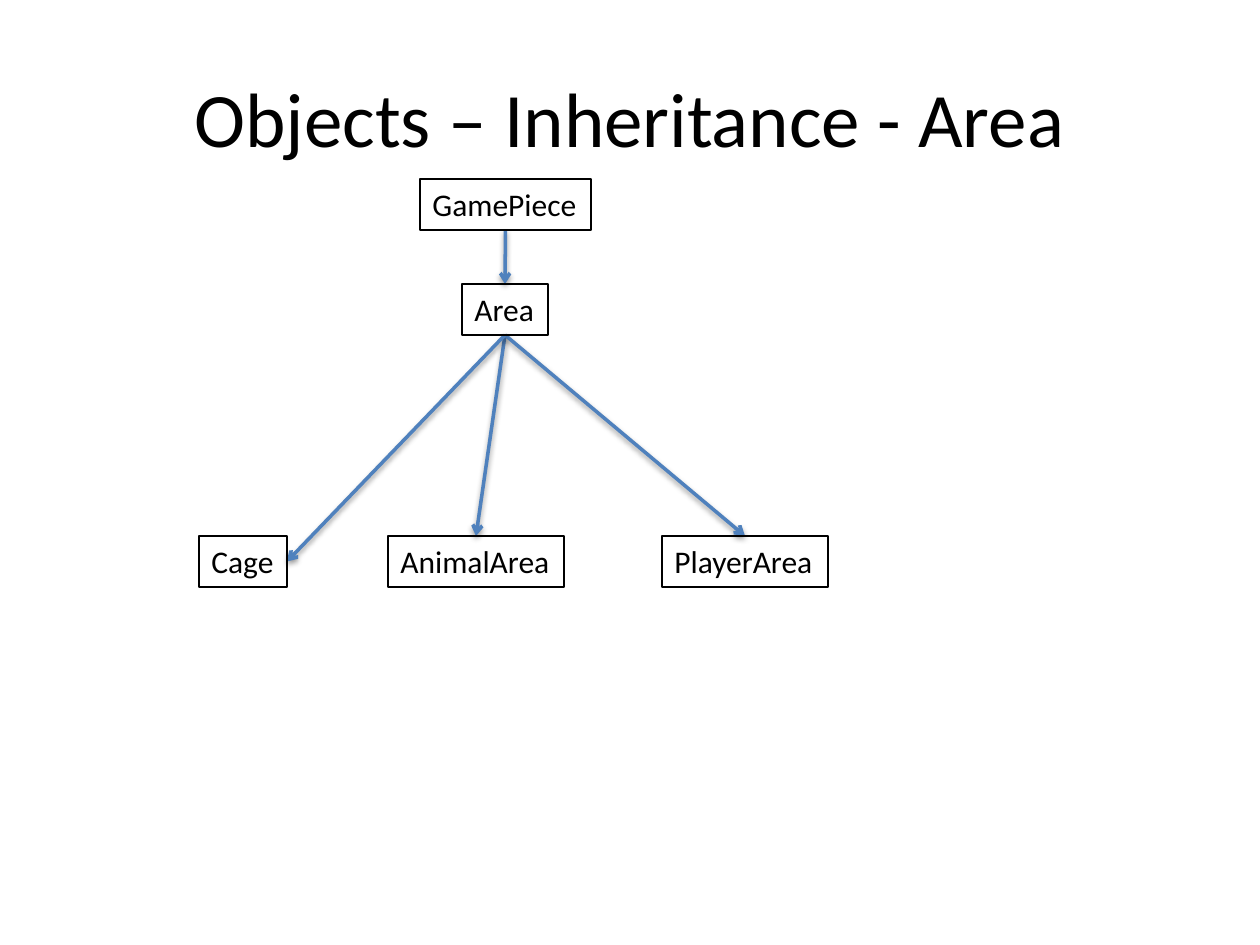
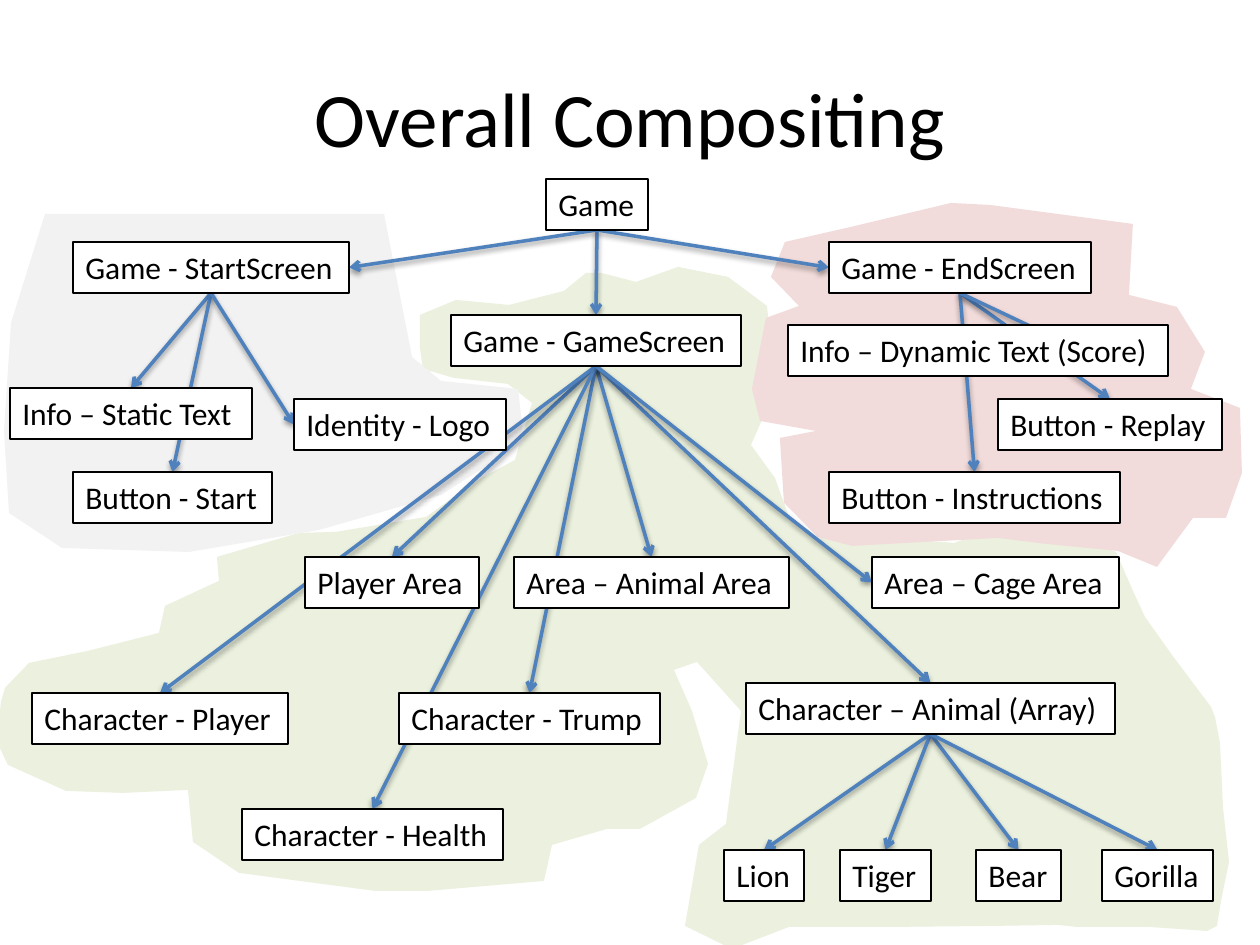
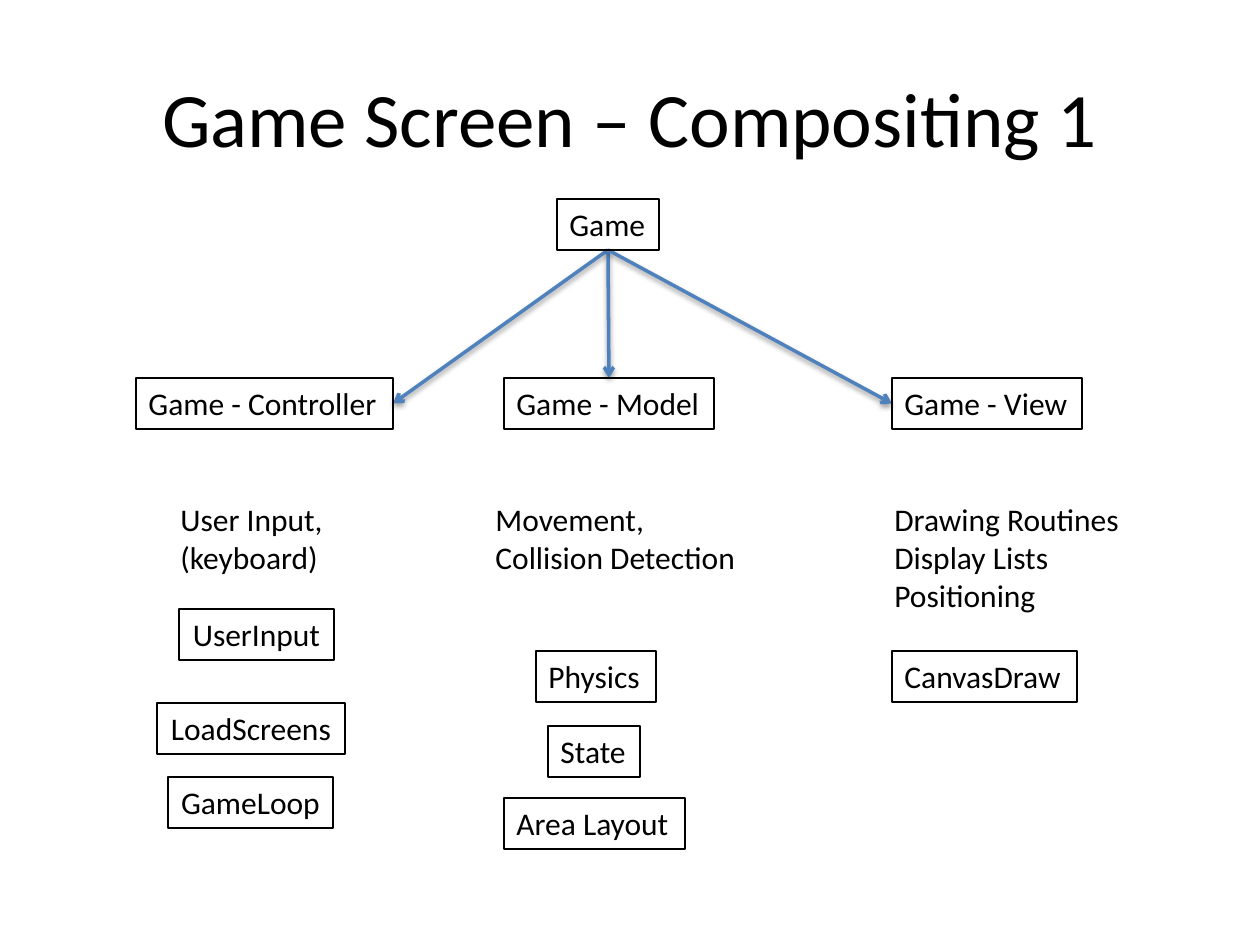
from dataclasses import dataclass
from enum import IntEnum

from lxml import etree
from pptx import Presentation
from pptx.dml.color import RGBColor
from pptx.enum.shapes import MSO_CONNECTOR
from pptx.enum.text import MSO_ANCHOR, MSO_AUTO_SIZE, PP_ALIGN
from pptx.oxml.ns import qn
from pptx.util import Emu, Inches, Pt

SCALE = Inches(1) / 126
FONT = "Calibri"
COLORS = {
    "ink": "000000",
    "paper": "FFFFFF",
    "arrow": "4F81BD",
    "start": "F2F2F2",
    "game": "EBF1DE",
    "end": "F2DCDB",
}
BOX_HEIGHT = 51
TITLE_ONLY = 5


class Site(IntEnum):
    """Connection sites of a rectangle."""
    TOP = 0
    LEFT = 1
    BOTTOM = 2
    RIGHT = 3


@dataclass(frozen=True)
class Box:
    """An outlined class box, or a plain note when it has no outline."""
    text: str
    left: int
    top: int
    width: int
    height: int = BOX_HEIGHT
    align: PP_ALIGN = PP_ALIGN.LEFT
    outlined: bool = True


@dataclass(frozen=True)
class Link:
    """An arrow from a parent's bottom to a child, or to a free tip."""
    parent: str
    child: str = ""
    site: Site = Site.TOP
    tip: tuple[int, int] = (0, 0)


@dataclass(frozen=True)
class Region:
    """A tinted area behind one branch of the tree."""
    color: str
    outline: tuple[tuple[int, int], ...]


@dataclass(frozen=True)
class Diagram:
    """Everything one slide shows."""
    title: str
    boxes: tuple[Box, ...]
    links: tuple[Link, ...]
    regions: tuple[Region, ...] = ()
    box_fill: str = ""


def px(length: float) -> Emu:
    """Turn pixels into EMU."""
    return Emu(round(length * SCALE))


def rgb(name: str) -> RGBColor:
    """Look up a named colour."""
    return RGBColor.from_string(COLORS[name])


def write(frame, text: str, *, size: int, align: PP_ALIGN, color: str = "ink") -> None:
    """Fill a text frame, one paragraph a line, in one format."""
    frame.text = text
    for paragraph in frame.paragraphs:
        paragraph.alignment = align
        for run in paragraph.runs:
            run.font.name = FONT
            run.font.size = Pt(size)
            run.font.color.rgb = rgb(color)


def add_title(slide, text: str) -> None:
    """Place and format the slide title."""
    title = slide.shapes.title
    title.left, title.top, title.width, title.height = map(px, (63, 38, 1134, 157))
    title.text_frame.vertical_anchor = MSO_ANCHOR.MIDDLE
    write(title.text_frame, text, size=44, align=PP_ALIGN.CENTER)


def add_region(slide, region: Region) -> None:
    """Draw one tinted area."""
    start, *rest = region.outline
    builder = slide.shapes.build_freeform(*start, scale=SCALE)
    builder.add_line_segments(rest, close=True)
    area = builder.convert_to_shape()
    area.shadow.inherit = False
    area.fill.solid()
    area.fill.fore_color.rgb = rgb(region.color)
    area.line.fill.background()


def add_box(slide, box: Box, fill: str):
    """Draw one box or note and return it."""
    label = slide.shapes.add_textbox(
        px(box.left), px(box.top), px(box.width), px(box.height))
    if box.outlined:
        label.line.color.rgb = rgb("ink")
        label.line.width = Pt(0.75)
        if fill:
            label.fill.solid()
            label.fill.fore_color.rgb = rgb(fill)
    label.text_frame.word_wrap = False
    label.text_frame.auto_size = MSO_AUTO_SIZE.SHAPE_TO_FIT_TEXT
    write(label.text_frame, box.text, size=18, align=box.align)
    return label


def add_arrow(slide, link: Link, labels: dict) -> None:
    """Draw one glued arrow with a soft shadow below it."""
    arrow = slide.shapes.add_connector(
        MSO_CONNECTOR.STRAIGHT, 0, 0, *map(px, link.tip))
    arrow.begin_connect(labels[link.parent], Site.BOTTOM)
    if link.child:
        arrow.end_connect(labels[link.child], link.site)
    arrow.line.color.rgb = rgb("arrow")
    arrow.line.width = Pt(2)
    properties = arrow.element.spPr
    etree.SubElement(properties.find(qn("a:ln")), qn("a:tailEnd"), type="arrow")
    effects = etree.SubElement(properties, qn("a:effectLst"))
    shadow = etree.SubElement(
        effects, qn("a:outerShdw"), blurRad="40000", dist="20000",
        dir="5400000", rotWithShape="0")
    tint = etree.SubElement(shadow, qn("a:srgbClr"), val=COLORS["ink"])
    etree.SubElement(tint, qn("a:alpha"), val="38000")


def add_diagram(deck, diagram: Diagram) -> None:
    """Build one slide, with the boxes in front of the arrows."""
    slide = deck.slides.add_slide(deck.slide_layouts[TITLE_ONLY])
    add_title(slide, diagram.title)
    for region in diagram.regions:
        add_region(slide, region)
    labels = {box.text: add_box(slide, box, diagram.box_fill)
              for box in diagram.boxes}
    for link in diagram.links:
        add_arrow(slide, link, labels)
    for label in labels.values():
        slide.shapes.element.append(label.element)


def fan(parent: str, *children: str) -> tuple[Link, ...]:
    """Link a parent to the top of each child."""
    return tuple(Link(parent, child) for child in children)


def row(top: int, *cells: tuple[str, int, int]) -> tuple[Box, ...]:
    """Make boxes that share a top from (text, left, width)."""
    return tuple(Box(text, left, top, width) for text, left, width in cells)


INHERITANCE = Diagram(
    "Objects – Inheritance - Area",
    boxes=(
        *row(179, ("GamePiece", 420, 171)),
        *row(284, ("Area", 462, 86)),
        *row(536, ("Cage", 199, 88), ("AnimalArea", 388, 176),
             ("PlayerArea", 662, 166)),
    ),
    links=(
        *fan("GamePiece", "Area"),
        *fan("Area", "AnimalArea", "PlayerArea"),
        Link("Area", "Cage", Site.RIGHT),
    ),
)

GAME_REGION = Region("game", (
    (564, 291), (509, 305), (456, 300), (420, 315), (420, 348), (423, 369),
    (454, 378), (508, 384), (532, 403), (515, 460), (480, 479), (426, 517),
    (336, 532), (299, 533), (217, 557), (219, 581), (165, 606), (159, 633),
    (88, 651), (29, 663), (5, 688), (1, 702), (-3, 742), (8, 765),
    (66, 791), (123, 793), (188, 790), (193, 842), (239, 873), (375, 891),
    (428, 891), (544, 881), (552, 845), (607, 829), (640, 829), (696, 798),
    (708, 764), (692, 711), (674, 670), (697, 662), (741, 711), (726, 824),
    (699, 845), (685, 926), (732, 949), (789, 927), (896, 927), (993, 926),
    (1058, 925), (1077, 927), (1149, 927), (1207, 931), (1217, 926),
    (1221, 901), (1229, 862), (1223, 808), (1220, 743), (1215, 717),
    (1211, 707), (1172, 655), (1145, 617), (1133, 591), (1116, 552),
    (1080, 538), (1046, 530), (988, 528), (979, 534), (954, 543), (897, 539),
    (867, 534), (814, 539), (789, 517), (775, 478), (751, 445), (766, 411),
    (774, 372), (767, 306), (728, 277), (678, 267), (636, 282), (601, 273),
    (586, 273),
))
END_REGION = Region("end", (
    (785, 242), (851, 227), (951, 203), (990, 205), (1133, 224), (1129, 295),
    (1177, 307), (1205, 352), (1191, 389), (1240, 408), (1242, 473),
    (1226, 518), (1193, 518), (1157, 567), (1118, 551), (1046, 544),
    (998, 538), (852, 546), (818, 537), (784, 503), (780, 438), (816, 431),
    (760, 421), (752, 389), (766, 318), (799, 306), (771, 277),
))
START_REGION = Region("start", (
    (45, 214), (384, 214), (412, 357), (441, 381), (518, 389), (524, 442),
    (441, 495), (319, 530), (189, 552), (62, 548), (9, 513), (4, 431),
    (11, 323),
))

COMPOSITING = Diagram(
    "Overall Compositing",
    boxes=(
        *row(179, ("Game", 546, 102)),
        *row(242, ("Game - StartScreen", 73, 276), ("Game - EndScreen", 829, 262)),
        *row(315, ("Game - GameScreen", 451, 290)),
        *row(325, ("Info – Dynamic Text (Score)", 788, 380)),
        *row(388, ("Info – Static Text", 10, 242)),
        *row(399, ("Identity - Logo", 294, 212), ("Button - Replay", 998, 224)),
        *row(472, ("Button - Start", 73, 199), ("Button - Instructions", 829, 291)),
        *row(557, ("Player Area", 305, 174), ("Area – Animal Area", 514, 275),
             ("Area – Cage Area", 872, 247)),
        *row(683, ("Character – Animal (Array)", 746, 369)),
        *row(693, ("Character - Player", 32, 256), ("Character - Trump", 399, 261)),
        *row(809, ("Character - Health", 242, 261)),
        *row(850, ("Lion", 724, 80), ("Tiger", 840, 91), ("Bear", 976, 85),
             ("Gorilla", 1102, 111)),
    ),
    links=(
        Link("Game", "Game - StartScreen", Site.RIGHT),
        *fan("Game", "Game - GameScreen"),
        Link("Game", "Game - EndScreen", Site.LEFT),
        *fan("Game - StartScreen", "Info – Static Text", "Button - Start"),
        Link("Game - StartScreen", "Identity - Logo", Site.LEFT),
        *fan("Game - GameScreen", "Player Area", "Area – Animal Area",
             "Character - Player", "Character - Trump", "Character - Health",
             "Character – Animal (Array)"),
        Link("Game - GameScreen", "Area – Cage Area", Site.LEFT),
        *fan("Game - EndScreen", "Button - Replay", "Button - Instructions"),
        Link("Game - EndScreen", tip=(1072, 346)),
        *fan("Character – Animal (Array)", "Lion", "Tiger", "Bear", "Gorilla"),
    ),
    regions=(GAME_REGION, END_REGION, START_REGION),
    box_fill="paper",
)

GAME_SCREEN = Diagram(
    "Game Screen – Compositing 1",
    boxes=(
        *row(199, ("Game", 557, 102)),
        *row(378, ("Game - Controller", 136, 257), ("Game - Model", 504, 210),
             ("Game - View", 892, 190)),
        Box("User Input,\n(keyboard)", 168, 494, 169, 89, outlined=False),
        Box("Movement,\nCollision Detection", 483, 494, 268, 89, outlined=False),
        Box("Drawing Routines\nDisplay Lists\nPositioning", 882, 494, 253, 127,
            outlined=False),
        Box("UserInput", 179, 609, 155, align=PP_ALIGN.CENTER),
        Box("LoadScreens", 157, 703, 188, align=PP_ALIGN.CENTER),
        Box("GameLoop", 168, 777, 165, align=PP_ALIGN.CENTER),
        *row(651, ("Physics", 536, 120), ("CanvasDraw", 892, 185)),
        *row(726, ("State", 548, 92)),
        *row(798, ("Area Layout", 504, 181)),
    ),
    links=(
        Link("Game", "Game - Controller", Site.RIGHT),
        *fan("Game", "Game - Model"),
        Link("Game", "Game - View", Site.LEFT),
    ),
)


def main() -> None:
    """Build the deck and save it."""
    deck = Presentation()
    deck.slide_width, deck.slide_height = px(1260), px(945)
    for diagram in (INHERITANCE, COMPOSITING, GAME_SCREEN):
        add_diagram(deck, diagram)
    deck.save("out.pptx")


main()
